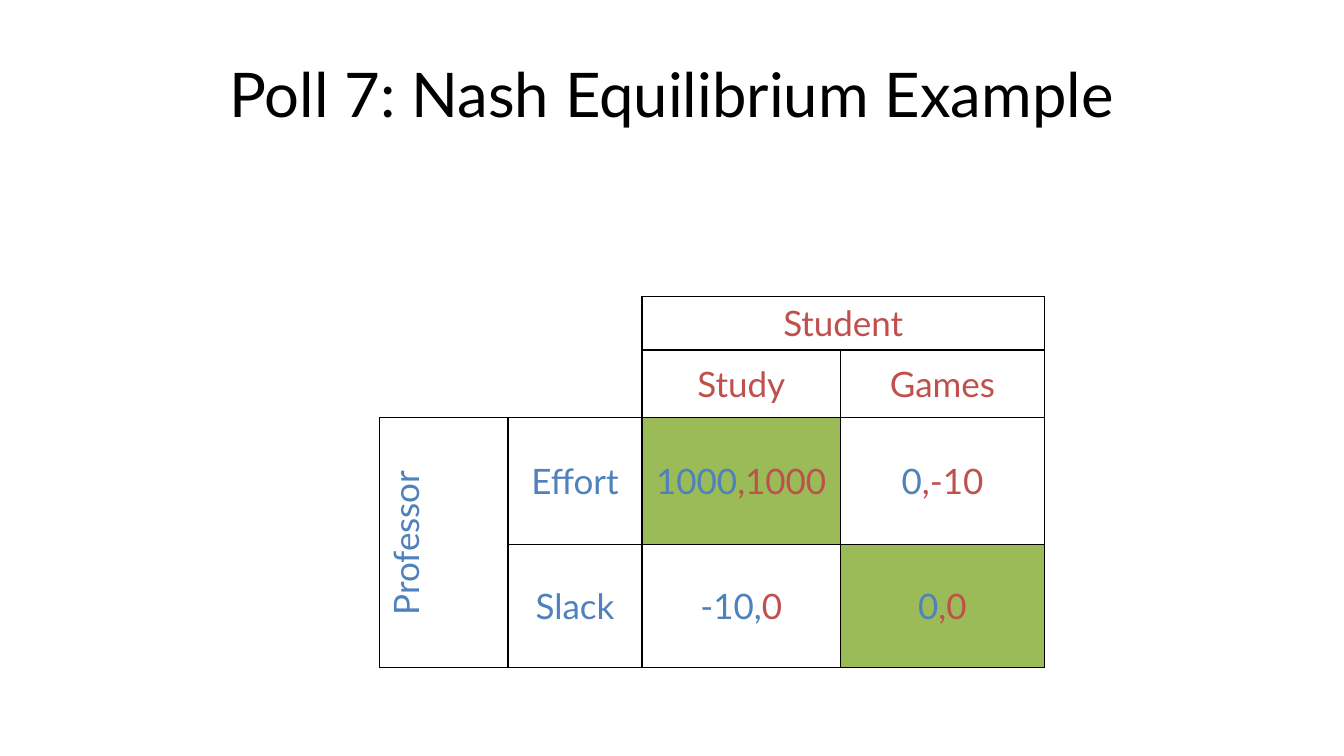
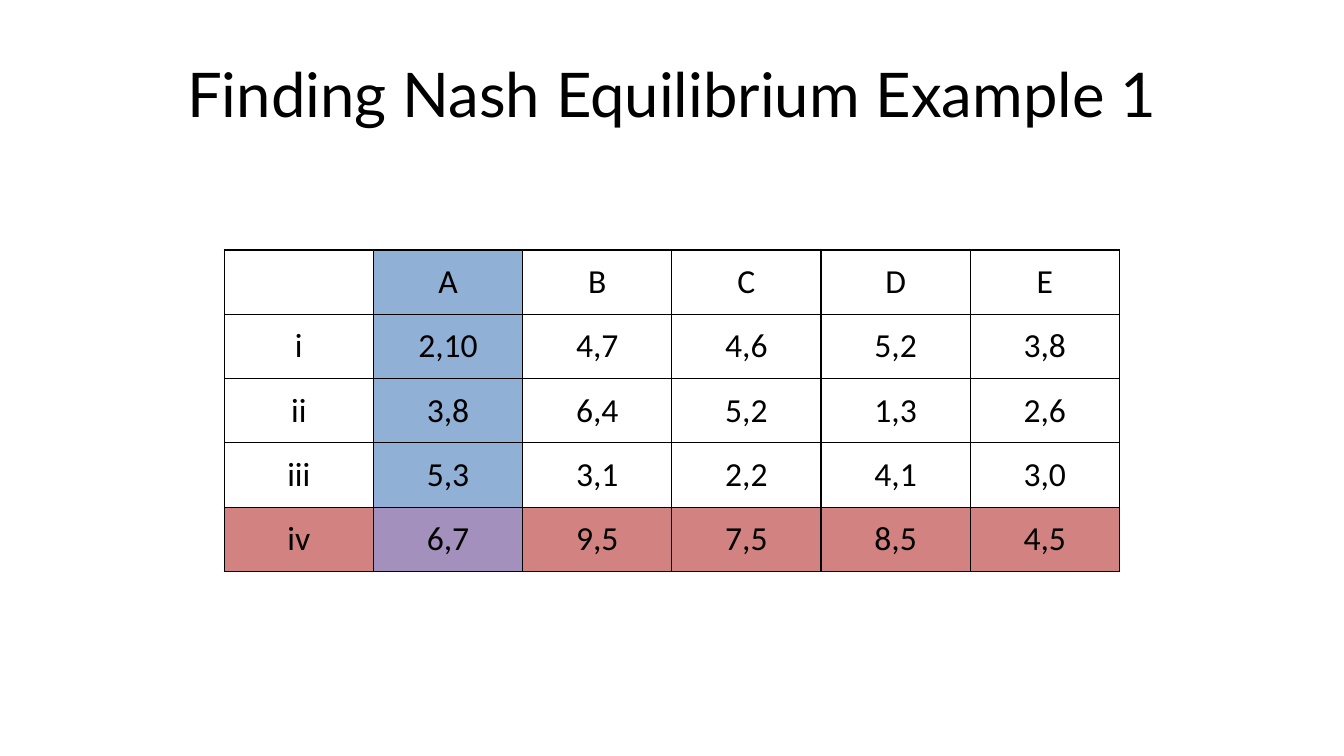
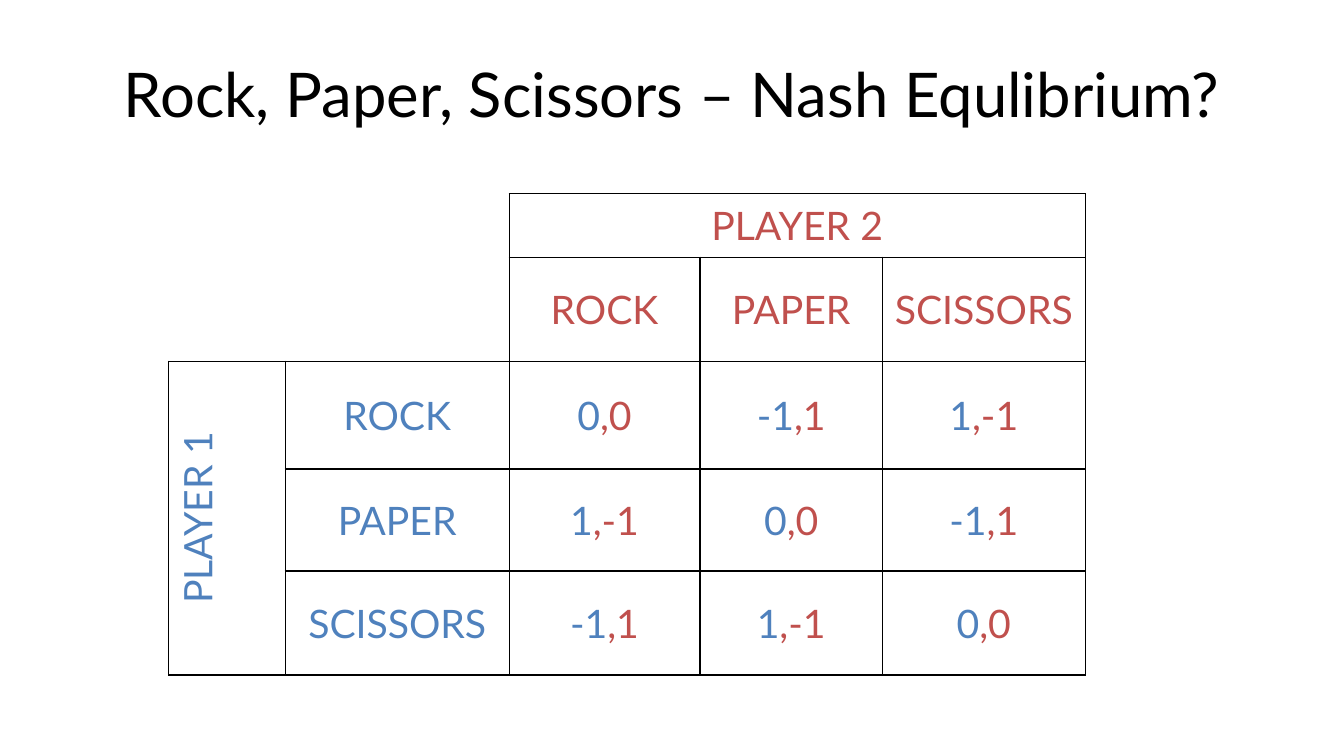
"""Build three slides about Nash equilibrium, each a title above a payoff table."""
from dataclasses import dataclass

from lxml import etree
from pptx import Presentation
from pptx.dml.color import RGBColor
from pptx.enum.text import MSO_ANCHOR, PP_ALIGN
from pptx.oxml.ns import qn
from pptx.util import Cm, Pt

CENTER = PP_ALIGN.CENTER
MIDDLE = MSO_ANCHOR.MIDDLE
NO_STYLE = "{2D5ABB26-0587-4C30-8999-92F81FD0307C}"


@dataclass(frozen=True)
class Theme:
    black: str = "000000"
    blue: str = "4F81BD"
    red: str = "C0504D"
    green: str = "9BBB59"
    purple: str = "8064A2"
    title_font: str = "Lato"
    grid_font: str = "Calibri"
    title_size: int = 44
    poll_size: int = 25
    grid_size: int = 24
    game_size: int = 28
    border_width: int = 1


theme = Theme()


def write_text(frame, text, *, size, font, colours):
    """Write one centred paragraph whose parts, split at "|", take the colours in turn."""
    para = frame.paragraphs[0]
    para.alignment = CENTER
    for part, colour in zip(text.split("|"), colours):
        if part:
            span = para.add_run()
            span.text = part
            span.font.size = Pt(size)
            span.font.name = font
            span.font.color.rgb = RGBColor.from_string(colour)


def draw_border(cell, sides):
    """Draw a thin black line on each of the named sides of a cell."""
    properties = cell._tc.get_or_add_tcPr()
    for side in sides:
        line = etree.SubElement(properties, qn(f"a:ln{side}"), w=str(Pt(theme.border_width)))
        fill = etree.SubElement(line, qn("a:solidFill"))
        etree.SubElement(fill, qn("a:srgbClr"), val=theme.black)


players = (theme.blue, theme.red)
column_choice = (theme.blue, 62)
row_choice = (theme.red, 71)
grid_fills = {(row, 1): column_choice for row in range(4)}
grid_fills |= {(4, column): row_choice for column in range(6)}
grid_fills[4, 1] = (theme.purple, 71)

pages = [
    dict(
        title="Poll 7: Nash Equilibrium Example",
        left=9.57, top=7.48,
        widths=[3.23, 3.38, 5, 5.14],
        heights=[1.34, 1.71, 3.2, 3.1],
        size=theme.poll_size, font=theme.title_font, colours=players, is_game=True,
        rows=[
            ["", "", "|Student", ""],
            ["", "", "|Study", "|Games"],
            ["Professor", "Effort", "1000|,1000", "0|,-10"],
            ["", "Slack", "-10,|0", "0|,0"],
        ],
        fills={(2, 2): (theme.green, 100), (3, 3): (theme.green, 100)},
    ),
    dict(
        title="Finding Nash Equilibrium Example 1",
        left=5.65, top=6.3,
        widths=[3.76] * 6,
        heights=[1.62] * 5,
        size=theme.grid_size, font=theme.grid_font, colours=(theme.black,), is_game=False,
        rows=[
            ["", "A", "B", "C", "D", "E"],
            ["i", "2,10", "4,7", "4,6", "5,2", "3,8"],
            ["ii", "3,8", "6,4", "5,2", "1,3", "2,6"],
            ["iii", "5,3", "3,1", "2,2", "4,1", "3,0"],
            ["iv", "6,7", "9,5", "7,5", "8,5", "4,5"],
        ],
        fills=grid_fills,
    ),
    dict(
        title="Rock, Paper, Scissors – Nash Equlibrium?",
        left=4.25, top=4.88,
        widths=[2.94, 5.64, 4.81, 4.6, 5.11],
        heights=[1.6, 2.62, 2.72, 2.57, 2.62],
        size=theme.game_size, font=theme.title_font, colours=players, is_game=True,
        rows=[
            ["", "", "|PLAYER 2", "", ""],
            ["", "", "|ROCK", "|PAPER", "|SCISSORS"],
            ["PLAYER 1", "ROCK", "0|,0", "-1|,1", "1|,-1"],
            ["", "PAPER", "1|,-1", "0|,0", "-1|,1"],
            ["", "SCISSORS", "-1|,1", "1|,-1", "0|,0"],
        ],
        fills={},
    ),
]

deck = Presentation()
deck.slide_width = Cm(33.87)
deck.slide_height = Cm(19.05)
blank = deck.slide_layouts[6]

for content in pages:
    page = deck.slides.add_slide(blank)
    box = page.shapes.add_textbox(Cm(1.7), Cm(0.76), Cm(30.48), Cm(3.18))
    box.text_frame.word_wrap = True
    box.text_frame.vertical_anchor = MIDDLE
    write_text(box.text_frame, content["title"], size=theme.title_size,
               font=theme.title_font, colours=(theme.black,))

    widths, heights = content["widths"], content["heights"]
    table = page.shapes.add_table(
        len(heights), len(widths), Cm(content["left"]), Cm(content["top"]),
        Cm(sum(widths)), Cm(sum(heights))).table
    table.first_row = False
    table.horz_banding = False
    table._tbl.tblPr.find(qn("a:tableStyleId")).text = NO_STYLE
    for column, width in zip(table.columns, widths):
        column.width = Cm(width)
    for row, height in zip(table.rows, heights):
        row.height = Cm(height)

    if content["is_game"]:
        table.cell(0, 0).merge(table.cell(1, 1))
        table.cell(0, 2).merge(table.cell(0, len(widths) - 1))
        table.cell(2, 0).merge(table.cell(len(heights) - 1, 0))
        table.cell(2, 0)._tc.get_or_add_tcPr().set("vert", "vert270")

    for row_index, texts in enumerate(content["rows"]):
        for column_index, text in enumerate(texts):
            cell = table.cell(row_index, column_index)
            cell.vertical_anchor = MIDDLE
            in_corner = content["is_game"] and row_index < 2 and column_index < 2
            if not in_corner:
                draw_border(cell, "LRTB")
            elif cell.is_merge_origin:
                draw_border(cell, "RB")
            if (row_index, column_index) in content["fills"]:
                colour, opacity = content["fills"][row_index, column_index]
                cell.fill.solid()
                cell.fill.fore_color.rgb = RGBColor.from_string(colour)
                if opacity < 100:
                    shade = cell._tc.tcPr.find(qn("a:solidFill")).find(qn("a:srgbClr"))
                    etree.SubElement(shade, qn("a:alpha"), val=str(opacity * 1000))
            else:
                cell.fill.background()
            if text:
                write_text(cell.text_frame, text, size=content["size"],
                           font=content["font"], colours=content["colours"])

deck.save("out.pptx")
